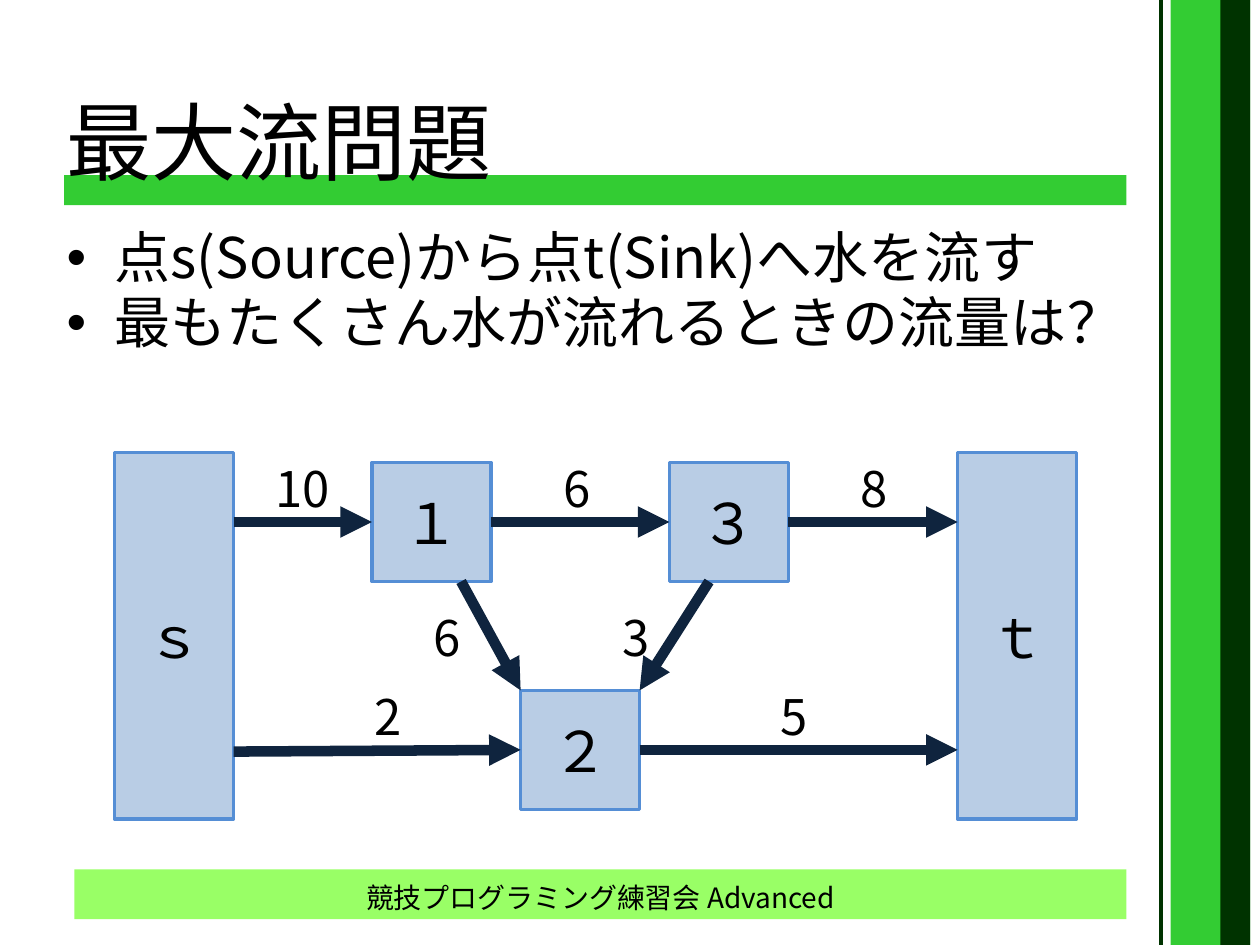
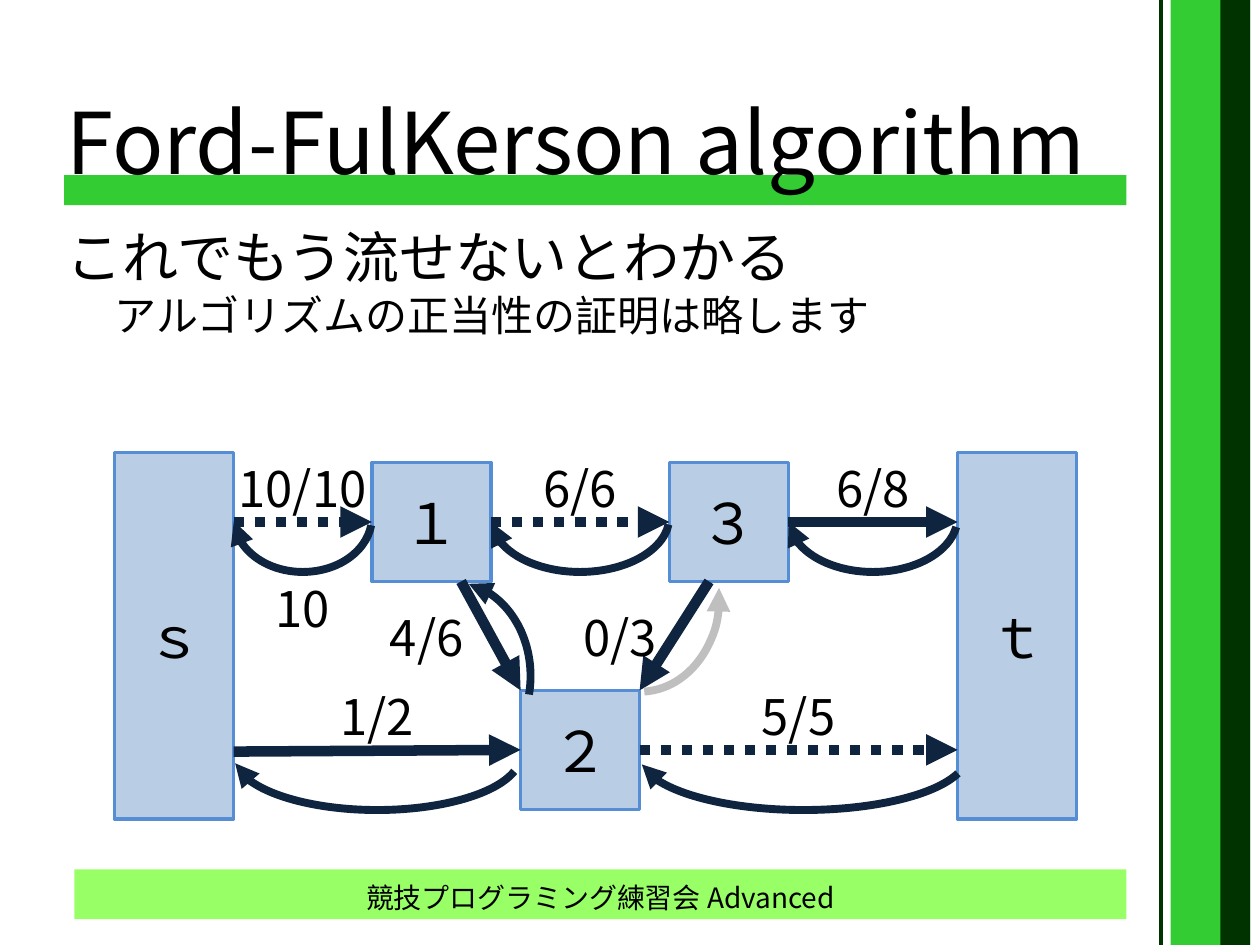
from lxml import etree
from pptx import Presentation
from pptx.dml.color import RGBColor
from pptx.enum.dml import MSO_LINE
from pptx.enum.shapes import MSO_CONNECTOR, MSO_SHAPE
from pptx.enum.text import MSO_ANCHOR, PP_ALIGN
from pptx.oxml.ns import qn
from pptx.util import Pt

RECT, ARC, STRAIGHT = MSO_SHAPE.RECTANGLE, MSO_SHAPE.ARC, MSO_CONNECTOR.STRAIGHT
MIDDLE, TOP = MSO_ANCHOR.MIDDLE, MSO_ANCHOR.TOP
LEFT, CENTER = PP_ALIGN.LEFT, PP_ALIGN.CENTER
DOTTED = MSO_LINE.ROUND_DOT

FONT = "Noto Sans CJK JP"
BLACK, GREEN, PALE_GREEN, DARK_GREEN = "000000", "33CC33", "99FF66", "003300"
NODE_FILL, NODE_EDGE, NAVY, GREY = "B9CDE5", "558ED5", "0F243E", "BFBFBF"

WIDTH, HEIGHT = 720, 540
TITLE_BOX = (31, 49, 720, 62.6)
BODY_BOX = (31, 128.2, 653.8, 356.4)
FOOTER_BOX = (42.5, 496.8, 601.2, 32.4)
GRAPH_BOX = (65.5, 258.5, 549.7, 209.5)

# Node geometry, relative to the graph box
SIDE = 68
TOP_ROW, BOTTOM_ROW = 5.8, 136
COLUMN, PITCH = 147, 85
SINK = GRAPH_BOX[2] - SIDE
NODES = {
    "ｓ": (0, 0, SIDE, GRAPH_BOX[3]),
    "ｔ": (SINK, 0, SIDE, GRAPH_BOX[3]),
    "１": (COLUMN, TOP_ROW, SIDE, SIDE),
    "２": (COLUMN + PITCH, BOTTOM_ROW, SIDE, SIDE),
    "３": (COLUMN + 2 * PITCH, TOP_ROW, SIDE, SIDE),
}
NODE_1, NODE_2, NODE_3 = (COLUMN + i * PITCH for i in range(3))
TOP_FLOW, BOTTOM_FLOW = TOP_ROW + SIDE / 2, BOTTOM_ROW + SIDE / 2
EDGES = {
    "s1": (SIDE, TOP_FLOW, NODE_1, TOP_FLOW),
    "s2": (SIDE, BOTTOM_FLOW + 1, NODE_2, BOTTOM_FLOW),
    "13": (NODE_1 + SIDE, TOP_FLOW, NODE_3, TOP_FLOW),
    "3t": (NODE_3 + SIDE, TOP_FLOW, SINK, TOP_FLOW),
    "2t": (NODE_2 + SIDE, BOTTOM_FLOW, SINK, BOTTOM_FLOW),
    "12": (NODE_1 + SIDE * 0.75, TOP_ROW + SIDE, NODE_2, BOTTOM_ROW),
    "32": (NODE_3 + SIDE / 3, TOP_ROW + SIDE, NODE_2 + SIDE, BOTTOM_ROW),
}
UPPER, MIDWAY, LOWER, LABEL_HEIGHT = 0, 85, 130.3, 41

# Labels: text, left, top, width, alignment
CAPACITIES = [
    ("10", 85, UPPER, 62.6, LEFT),
    ("2", 141.2, LOWER, 62.6, LEFT),
    ("6", 249.2, UPPER, 28, LEFT),
    ("8", 419, UPPER, 62.6, LEFT),
    ("5", 357.2, LOWER, 62.6, CENTER),
    ("6", 158.4, MIDWAY, 62.6, CENTER),
    ("3", 283, MIDWAY, 62.6, LEFT),
]
FLOWS = [
    ("10/10", 62, UPPER, 90.7, CENTER),
    ("1/2", SIDE, LOWER, NODE_2 - SIDE, CENTER),
    ("6/6", NODE_1 + SIDE, UPPER, NODE_3 - NODE_1 - SIDE, CENTER),
    ("6/8", NODE_3 + SIDE, UPPER, SINK - NODE_3 - SIDE, CENTER),
    ("5/5", NODE_2 + SIDE, LOWER, SINK - NODE_2 - SIDE, CENTER),
    ("4/6", NODE_1, MIDWAY, 62.6, CENTER),
    ("0/3", 260.7, MIDWAY, 62.6, LEFT),
    ("10", 62, 68.4, 90.7, CENTER),
]


def rgb(hex_string):
    return RGBColor.from_string(hex_string)


def shifted(box, origin):
    left, top, width, height = box
    return left + origin[0], top + origin[1], width, height


def points(values):
    return [Pt(value) for value in values]


def write(paragraph, text, size, **formats):
    for name, value in formats.items():
        setattr(paragraph, name, value)
    run = paragraph.add_run()
    run.text = text
    for name, value in {"name": FONT, "size": Pt(size)}.items():
        setattr(run.font, name, value)
    run.font.color.rgb = rgb(BLACK)
    east_asian = etree.SubElement(run.font._element, qn("a:ea"))
    east_asian.set("typeface", FONT)


def add_text(slide, box, text, size, alignment=LEFT, anchor=TOP):
    frame = slide.shapes.add_textbox(*points(box)).text_frame
    frame.word_wrap = True
    frame.vertical_anchor = anchor
    if text:
        write(frame.paragraphs[0], text, size, alignment=alignment)
    return frame


def add_block(slide, box, fill, edge=None):
    block = slide.shapes.add_shape(RECT, *points(box))
    block.shadow.inherit = False
    block.fill.solid()
    block.fill.fore_color.rgb = rgb(fill)
    if edge:
        block.line.color.rgb = rgb(edge)
        block.line.width = Pt(2)
    else:
        block.line.fill.background()
    return block


def style_line(line, color, width, arrow_end=None):
    """arrow_end is "headEnd" (at the start), "tailEnd" (at the finish) or None."""
    line.color.rgb = rgb(color)
    line.width = Pt(width)
    if arrow_end:
        arrow = etree.SubElement(line._get_or_add_ln(), qn(f"a:{arrow_end}"))
        arrow.set("type", "triangle")


def add_line(slide, ends, color, width, arrow_end=None, dash=None):
    connector = slide.shapes.add_connector(STRAIGHT, *points(ends))
    if dash:
        connector.line.dash_style = dash
    style_line(connector.line, color, width, arrow_end)
    etree.SubElement(connector._element.spPr, qn("a:effectLst"))


def add_frame(slide, title):
    """Bands, title and footer shared by every slide."""
    left, top, width, _ = FOOTER_BOX
    add_block(slide, (left, top, width, 28.4), PALE_GREEN)
    add_block(slide, (669, 0, 45.4, HEIGHT), GREEN)
    add_block(slide, (36.7, 100, 607, 17.2), GREEN)
    add_line(slide, (663.3, 0, 663.3, HEIGHT), DARK_GREEN, 2.25)
    add_block(slide, (697.4, 0, 17, HEIGHT), DARK_GREEN)
    add_text(slide, TITLE_BOX, title, 48.6, anchor=MIDDLE)
    add_text(slide, FOOTER_BOX, "競技プログラミング練習会 Advanced", 16, CENTER, MIDDLE)


def add_body(slide, box, lines):
    """Each line is its text, size, left margin, first-line indent and bullet."""
    frame = add_text(slide, box, "", 0)
    for number, (text, size, margin, indent, bullet) in enumerate(lines):
        paragraph = frame.add_paragraph() if number else frame.paragraphs[0]
        properties = paragraph._p.get_or_add_pPr()
        properties.set("marL", str(Pt(margin)))
        properties.set("indent", str(Pt(indent)))
        spacing = {"line_spacing": 0.9}
        if number:
            spacing["space_before"] = Pt(2.5)
        for name, value in spacing.items():
            setattr(paragraph, name, value)
        if bullet:
            etree.SubElement(properties, qn("a:buFont")).set("typeface", "Arial")
            etree.SubElement(properties, qn("a:buChar")).set("char", bullet)
        write(paragraph, text, size)


def add_network(slide, box, labels, saturated=()):
    for name, node_box in NODES.items():
        node = add_block(slide, shifted(node_box, box), NODE_FILL, NODE_EDGE)
        node.text_frame.vertical_anchor = MIDDLE
        write(node.text_frame.paragraphs[0], name, 32, alignment=CENTER)
    left, top = box[:2]
    for name, (x1, y1, x2, y2) in EDGES.items():
        ends = (left + x1, top + y1, left + x2, top + y2)
        add_line(slide, ends, NAVY, 6, "tailEnd", DOTTED if name in saturated else None)
    for text, x, y, width, alignment in labels:
        add_text(slide, shifted((x, y, width, LABEL_HEIGHT), box), text, 28, alignment)


def add_arc(slide, box, angles, color, arrow_end):
    arc = slide.shapes.add_shape(ARC, *points(box))
    arc.shadow.inherit = False
    arc.fill.background()
    for index, angle in enumerate(angles):
        arc.adjustments[index] = angle
    style_line(arc.line, color, 4.5, arrow_end)


def add_reverse_edges(slide, box):
    for name, top, extra, start in (
        ("s1", TOP_ROW, 0, 4.01),
        ("13", TOP_ROW, 0, 2.82),
        ("3t", TOP_ROW, 0, 4.01),
        ("s2", 141.8, 0, 4.01),
        ("2t", 141.8, 5.5, 4.01),
    ):
        x1, _, x2, _ = EDGES[name]
        arc_box = shifted((x1, top, x2 - x1 + extra, 62.6), box)
        add_arc(slide, arc_box, (start, 106.05), NAVY, "tailEnd")
    for x, y, angles, color in (
        (254.9, 28.8, (211.96, 52.46), GREY),
        (NODE_1, TOP_ROW + SIDE, (168.49, 8.03), NAVY),
    ):
        add_arc(slide, shifted((x, y, 90.7, 108), box), angles, color, "headEnd")


def build_problem(slide):
    add_frame(slide, "最大流問題")
    add_body(slide, BODY_BOX, [
        ("点s(Source)から点t(Sink)へ水を流す", 32, 27.4, -27.4, "•"),
        ("最もたくさん水が流れるときの流量は？", 32, 27.4, -27.4, "•"),
    ])
    add_network(slide, GRAPH_BOX, CAPACITIES)


def build_algorithm(slide):
    add_frame(slide, "Ford-FulKerson algorithm")
    add_body(slide, BODY_BOX, [
        ("これでもう流せないとわかる", 32, 0, 0, None),
        ("アルゴリズムの正当性の証明は略します", 24, 27.4, 0, None),
    ])
    add_network(slide, GRAPH_BOX, FLOWS, saturated=("s1", "13", "2t"))
    add_reverse_edges(slide, GRAPH_BOX)


def main():
    presentation = Presentation()
    presentation.slide_width, presentation.slide_height = points((WIDTH, HEIGHT))
    blank = presentation.slide_layouts[6]
    for build in (build_problem, build_algorithm):
        build(presentation.slides.add_slide(blank))
    presentation.save("out.pptx")


if __name__ == "__main__":
    main()
